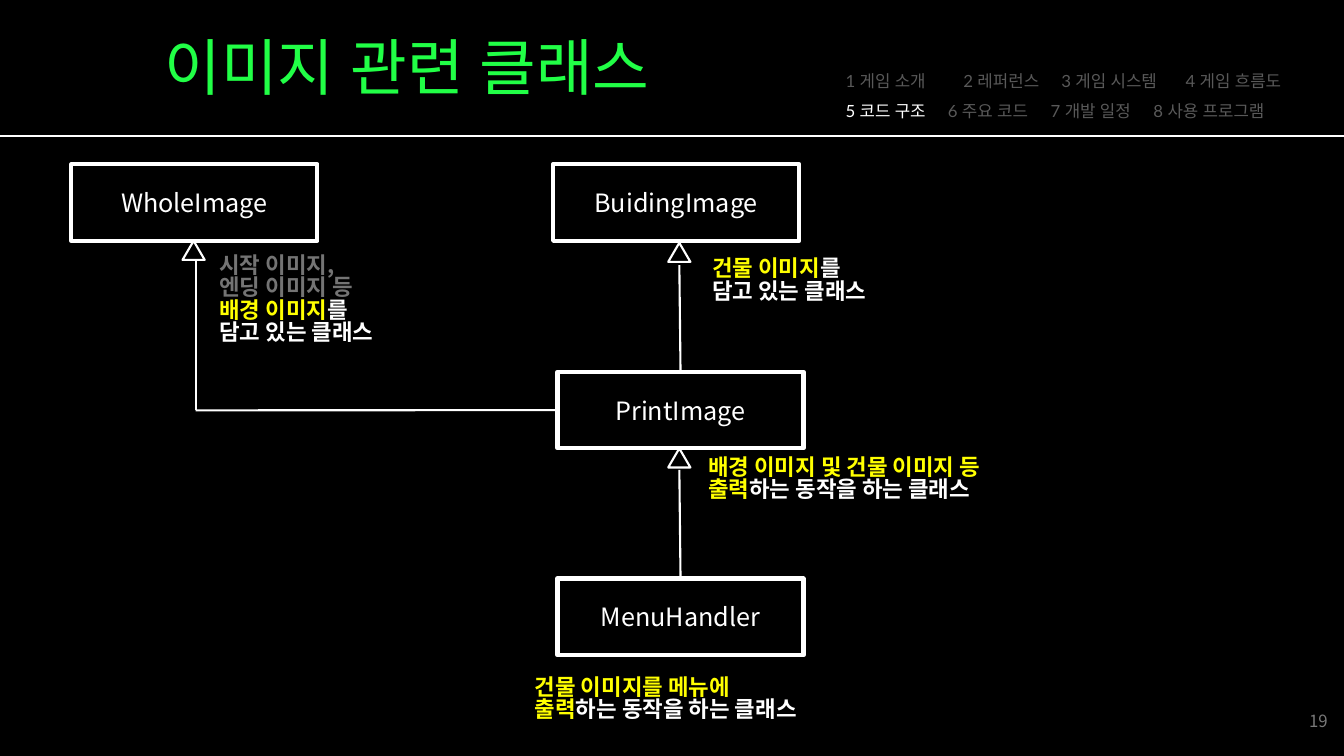
from dataclasses import dataclass

from lxml.etree import SubElement
from pptx import Presentation
from pptx.dml.color import RGBColor
from pptx.enum.shapes import MSO_CONNECTOR, MSO_SHAPE
from pptx.enum.text import MSO_ANCHOR, PP_ALIGN
from pptx.oxml.ns import qn
from pptx.util import Cm, Pt


@dataclass(frozen=True)
class Theme:
    black: str = "000000"
    white: str = "FFFFFF"
    green: str = "21FF46"
    yellow: str = "FFFF00"
    grey: str = "747474"
    dim: str = "595959"
    page: str = "797979"
    heading_font: str = "Lato"
    body_font: str = "Noto Sans CJK KR"
    title_size: int = 44
    class_size: int = 18
    note_size: int = 16
    small_size: int = 12
    thin: float = 1.5
    thick: float = 3
    note_spacing: float = 0.83


class ClassDiagram:
    """Draws the parts of a class diagram on one slide."""

    def __init__(self, presentation, theme):
        self.theme = theme
        self.slide = presentation.slides.add_slide(presentation.slide_layouts[5])
        self.slide.background.fill.solid()
        self.slide.background.fill.fore_color.rgb = RGBColor.from_string(theme.black)

    def add_run(self, paragraph, text, size, color, font, bold=False):
        run = paragraph.add_run()
        run.text = text
        run.font.size = Pt(size)
        run.font.bold = bold
        run.font.name = font
        run.font.color.rgb = RGBColor.from_string(color)
        SubElement(run.font._element, qn("a:ea")).set("typeface", font)

    def add_box(self, left, top, width, height):
        box = self.slide.shapes.add_textbox(Cm(left), Cm(top), Cm(width), Cm(height))
        box.text_frame.word_wrap = True
        return box.text_frame

    def add_title(self, text):
        title = self.slide.shapes.title
        title.left, title.top, title.width, title.height = Cm(3.89), Cm(0.61), Cm(15.04), Cm(2.13)
        title.text_frame.vertical_anchor = MSO_ANCHOR.TOP
        paragraph = title.text_frame.paragraphs[0]
        paragraph.alignment = PP_ALIGN.LEFT
        self.add_run(paragraph, text, self.theme.title_size, self.theme.green, self.theme.heading_font)

    def add_outline(self, kind, left, top, width, height, weight):
        shape = self.slide.shapes.add_shape(kind, Cm(left), Cm(top), Cm(width), Cm(height))
        shape.shadow.inherit = False
        shape.fill.background()
        shape.line.color.rgb = RGBColor.from_string(self.theme.white)
        shape.line.width = Pt(weight)
        return shape

    def add_class(self, name, left, top):
        box = self.add_outline(MSO_SHAPE.RECTANGLE, left, top, 6.2, 1.93, self.theme.thick)
        box.text_frame.vertical_anchor = MSO_ANCHOR.MIDDLE
        paragraph = box.text_frame.paragraphs[0]
        paragraph.alignment = PP_ALIGN.CENTER
        self.add_run(paragraph, name, self.theme.class_size, self.theme.white, self.theme.body_font)
        return box

    def add_inheritance_head(self, left, top):
        self.add_outline(MSO_SHAPE.ISOSCELES_TRIANGLE, left, top, 0.56, 0.48, self.theme.thin)

    def add_line(self, start, end, target=None, side=0):
        line = self.slide.shapes.add_connector(MSO_CONNECTOR.STRAIGHT, *map(Cm, start + end))
        line.line.color.rgb = RGBColor.from_string(self.theme.white)
        line.line.width = Pt(self.theme.thin)
        SubElement(line._element.spPr, qn("a:effectLst"))
        if target is not None:
            line.end_connect(target, side)

    def add_note(self, left, top, width, lines):
        frame = self.add_box(left, top, width, 0.25 + 0.69 * len(lines))
        for index, runs in enumerate(lines):
            paragraph = frame.add_paragraph() if index else frame.paragraphs[0]
            paragraph.line_spacing = self.theme.note_spacing
            for text, color in runs:
                self.add_run(paragraph, text, self.theme.note_size, color, self.theme.body_font, True)

    def add_navigation(self, rows, current):
        frame = self.add_box(21.06, 1.4, 13.36, 1.68)
        for index, (items, stops) in enumerate(rows):
            paragraph = frame.add_paragraph() if index else frame.paragraphs[0]
            tabs = SubElement(paragraph._p.get_or_add_pPr(), qn("a:tabLst"))
            for stop in stops:
                tab = SubElement(tabs, qn("a:tab"))
                tab.set("pos", str(Cm(stop)))
                tab.set("algn", "l")
            paragraph.line_spacing = 1.5
            for position, item in enumerate(items):
                color = self.theme.white if item == current else self.theme.dim
                text = "\t" + item if position else item
                self.add_run(paragraph, text, self.theme.small_size, color, self.theme.heading_font)

    def add_page_number(self, number):
        frame = self.add_box(26.09, 17.65, 7.62, 1.02)
        frame.vertical_anchor = MSO_ANCHOR.MIDDLE
        paragraph = frame.paragraphs[0]
        paragraph.alignment = PP_ALIGN.RIGHT
        self.add_run(paragraph, number, self.theme.small_size, self.theme.page, self.theme.body_font)


def main():
    presentation = Presentation()
    presentation.slide_width, presentation.slide_height = Cm(33.87), Cm(19.05)
    theme = Theme()
    diagram = ClassDiagram(presentation, theme)

    diagram.add_title("이미지 관련 클래스")
    diagram.add_navigation(
        [
            (["1 게임 소개", "2 레퍼런스", "3 게임 시스템", "4 게임 흐름도"], [2.97, 5.44, 8.57]),
            (["5 코드 구조", "6 주요 코드", "7 개발 일정", "8 사용 프로그램"], [2.58, 5.17, 7.76]),
        ],
        "5 코드 구조",
    )
    diagram.add_line((0, 3.43), (33.87, 3.43))

    diagram.add_class("WholeImage", 1.8, 4.14)
    diagram.add_class("BuidingImage", 13.94, 4.14)
    print_image = diagram.add_class("PrintImage", 14.05, 9.37)
    menu_handler = diagram.add_class("MenuHandler", 14.05, 14.58)

    for left, top in [(4.6, 6.07), (16.84, 6.12), (16.84, 11.3)]:
        diagram.add_inheritance_head(left, top)
    diagram.add_line((4.93, 6.58), (4.93, 10.34))
    diagram.add_line((4.93, 10.34), (14.05, 10.34), print_image, 1)
    diagram.add_line((17.12, 6.68), (17.15, 9.37), print_image)
    diagram.add_line((17.12, 11.84), (17.15, 14.58), menu_handler)

    holding = [("담고 있는 클래스", theme.white)]
    printing = [("출력", theme.yellow), ("하는 동작을 하는 클래스", theme.white)]
    diagram.add_note(5.28, 6.32, 5.92, [
        [("시작 이미지,", theme.grey)],
        [("엔딩 이미지 등", theme.grey)],
        [("배경 이미지", theme.yellow), ("를", theme.white)],
        holding,
    ])
    diagram.add_note(17.7, 6.4, 5.23, [[("건물 이미지", theme.yellow), ("를", theme.white)], holding])
    diagram.add_note(17.6, 11.4, 8.74, [[("배경 이미지 및 건물 이미지 등", theme.yellow)], printing])
    diagram.add_note(13.23, 16.94, 8.13, [[("건물 이미지를 메뉴에", theme.yellow)], printing])
    diagram.add_page_number("19")

    presentation.save("out.pptx")


if __name__ == "__main__":
    main()
